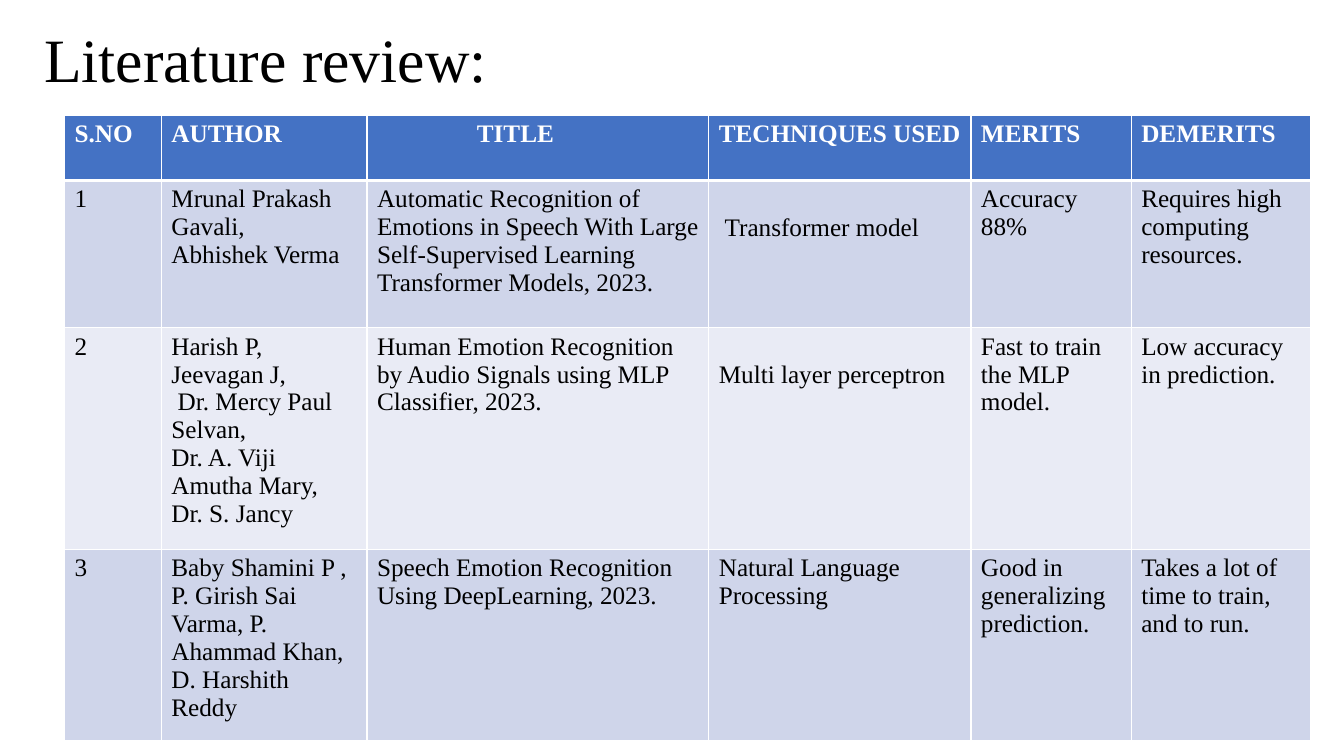
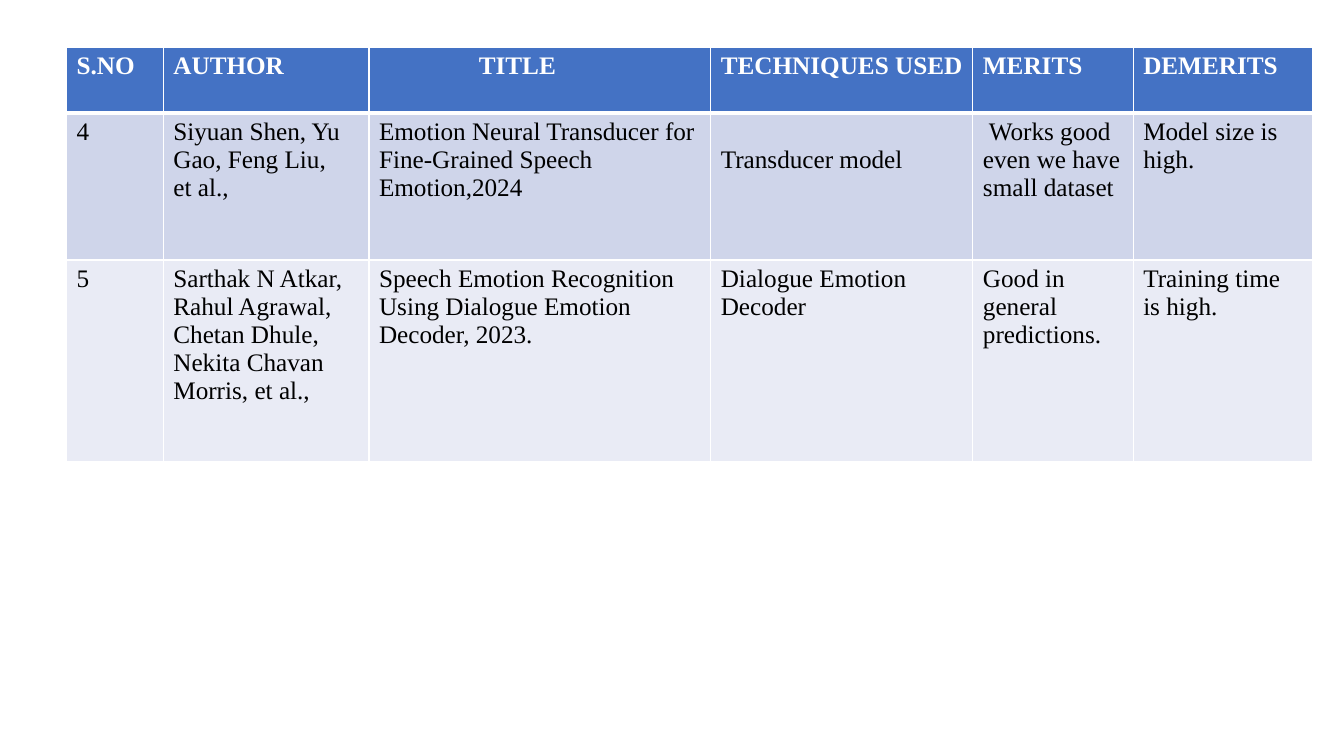
from lxml.etree import SubElement
from pptx import Presentation
from pptx.dml.color import RGBColor
from pptx.enum.text import MSO_ANCHOR
from pptx.oxml.ns import qn
from pptx.util import Pt

PX = 9144  # 100 px to the inch
FONT = "Times New Roman"
BLACK = RGBColor(0x00, 0x00, 0x00)
WHITE = RGBColor(0xFF, 0xFF, 0xFF)
HEADER_BLUE = RGBColor(0x44, 0x72, 0xC4)
BANDS = [RGBColor(0xCF, 0xD5, 0xEA), RGBColor(0xE9, 0xEB, 0xF5)]

COLUMN_WIDTHS = [96, 204, 339, 260, 159, 178]
HEADER_HEIGHT = 65
TITLE_INDENT = 109
LOWERED_TOP = 33
HEADER = ["S.NO", "AUTHOR", "TITLE", "TECHNIQUES USED", "MERITS", "DEMERITS"]
# Techniques that start one line lower than the rest of their row
LOWERED = {" Transformer model", "Multi layer perceptron", "Transducer model"}

FIRST_PAPERS = [
    ["1", "Mrunal Prakash Gavali,\nAbhishek Verma",
     "Automatic Recognition of Emotions in Speech With Large "
     "Self-Supervised Learning Transformer Models, 2023.",
     " Transformer model", "Accuracy 88%", "Requires high computing resources."],
    ["2", "Harish P,\nJeevagan J,\n Dr. Mercy Paul Selvan,\n"
     "Dr. A. Viji Amutha Mary,\nDr. S. Jancy",
     "Human Emotion Recognition by Audio Signals using MLP Classifier, 2023.",
     "Multi layer perceptron", "Fast to train the MLP model.",
     "Low accuracy in prediction."],
    ["3", "Baby Shamini P ,\nP. Girish Sai Varma, P. Ahammad Khan,\n"
     "D. Harshith Reddy",
     "Speech Emotion Recognition Using DeepLearning, 2023.",
     "Natural Language Processing", "Good in generalizing prediction.",
     "Takes a lot of time to train, and to run."],
]
LATER_PAPERS = [
    ["4", "Siyuan Shen, Yu Gao, Feng Liu,\vet al.,",
     "Emotion Neural Transducer for Fine-Grained Speech Emotion,2024",
     "Transducer model", " Works good even we have small dataset",
     "Model size is high."],
    ["5", "Sarthak N Atkar, Rahul Agrawal, Chetan Dhule, "
     "Nekita Chavan Morris, et al.,",
     "Speech Emotion Recognition Using Dialogue Emotion Decoder, 2023.",
     "Dialogue Emotion Decoder", "Good in general predictions.",
     "Training time is high."],
]


def style_text(frame, size, color, bold=False):
    for paragraph in frame.paragraphs:
        for run in paragraph.runs:
            run.font.name = FONT
            run.font.size = Pt(size)
            run.font.bold = bold
            run.font.color.rgb = color


def add_borders(cell, top, bottom):
    """Draw white cell edges: 1 pt at the sides, given points above and below."""
    props = cell._tc.get_or_add_tcPr()
    edges = [("a:lnL", 1), ("a:lnR", 1), ("a:lnT", top), ("a:lnB", bottom)]
    for position, (tag, points) in enumerate(edges):
        line = SubElement(props, qn(tag), w=str(Pt(points)))
        fill = SubElement(line, qn("a:solidFill"))
        SubElement(fill, qn("a:srgbClr"), val=str(WHITE))
        props.insert(position, line)


deck = Presentation()
deck.slide_width, deck.slide_height = 1333 * PX, 750 * PX
blank = deck.slide_layouts[6]

pages = [
    ("Literature review:", 64, 114, FIRST_PAPERS, [146, 203, 177]),
    (None, 66, 47, LATER_PAPERS, [146, 200]),
]
for heading, left, top, papers, paper_heights in pages:
    slide = deck.slides.add_slide(blank)
    if heading:
        heading_frame = slide.shapes.add_textbox(
            34 * PX, 10 * PX, 1150 * PX, 104 * PX).text_frame
        heading_frame.word_wrap = True
        heading_frame.vertical_anchor = MSO_ANCHOR.MIDDLE
        heading_frame.text = heading
        heading_frame.paragraphs[0].line_spacing = 0.9
        style_text(heading_frame, 44, BLACK)

    rows = [HEADER] + papers
    heights = [HEADER_HEIGHT] + paper_heights
    review = slide.shapes.add_table(
        len(rows), len(HEADER), left * PX, top * PX,
        sum(COLUMN_WIDTHS) * PX, sum(heights) * PX).table
    for column, width in zip(review.columns, COLUMN_WIDTHS):
        column.width = width * PX

    for r, (values, height) in enumerate(zip(rows, heights)):
        review.rows[r].height = height * PX
        is_header = r == 0
        for c, value in enumerate(values):
            cell = review.cell(r, c)
            cell.text_frame.text = value
            style_text(cell.text_frame, 18, WHITE if is_header else BLACK, is_header)
            cell.fill.solid()
            cell.fill.fore_color.rgb = HEADER_BLUE if is_header else BANDS[(r - 1) % 2]
            add_borders(cell, top=3 if r == 1 else 1, bottom=3 if is_header else 1)
            if value == "TITLE":
                cell.margin_left = TITLE_INDENT * PX
            if value in LOWERED:
                cell.margin_top = LOWERED_TOP * PX

deck.save("out.pptx")
